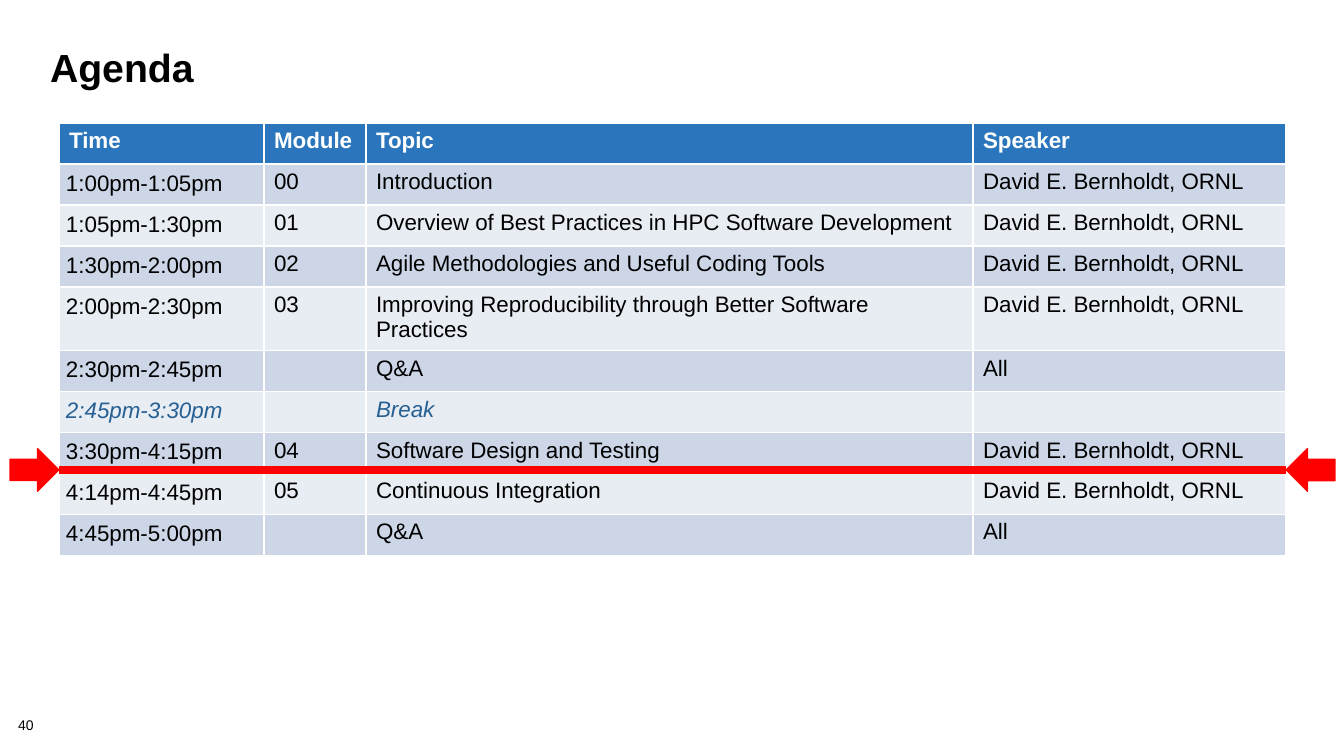
"""Build the agenda slide with a marker between two sessions."""
from lxml import etree
from pptx import Presentation
from pptx.dml.color import RGBColor
from pptx.enum.shapes import MSO_CONNECTOR, MSO_SHAPE
from pptx.enum.text import MSO_ANCHOR, PP_ALIGN
from pptx.oxml.ns import qn
from pptx.util import Emu, Pt

TITLE = "Agenda"
PAGE = "40"
HEADER = ("Time", "Module", "Topic", "Speaker")
SPEAKER = "David E. Bernholdt, ORNL"
SESSIONS = [
    ("1:00pm-1:05pm", "00", "Introduction", SPEAKER),
    ("1:05pm-1:30pm", "01", "Overview of Best Practices in HPC Software Development", SPEAKER),
    ("1:30pm-2:00pm", "02", "Agile Methodologies and Useful Coding Tools", SPEAKER),
    ("2:00pm-2:30pm", "03", "Improving Reproducibility through Better Software Practices", SPEAKER),
    ("2:30pm-2:45pm", "", "Q&A", "All"),
    ("2:45pm-3:30pm", "", "Break", ""),
    ("3:30pm-4:15pm", "04", "Software Design and Testing", SPEAKER),
    ("4:14pm-4:45pm", "05", "Continuous Integration", SPEAKER),
    ("4:45pm-5:00pm", "", "Q&A", "All"),
]

BLACK = RGBColor(0x00, 0x00, 0x00)
WHITE = RGBColor(0xFF, 0xFF, 0xFF)
RED = RGBColor(0xFF, 0x00, 0x00)
HEADER_BLUE = RGBColor(0x2A, 0x75, 0xBB)
BREAK_BLUE = RGBColor(0x26, 0x60, 0x93)
BANDS = (RGBColor(0xE8, 0xEC, 0xF3), RGBColor(0xCD, 0xD6, 0xE7))
FONT = "Arial"
TOP, LEFT = MSO_ANCHOR.TOP, PP_ALIGN.LEFT
STRAIGHT, ARROW = MSO_CONNECTOR.STRAIGHT, MSO_SHAPE.RIGHT_ARROW

SLIDE_W, SLIDE_H = 1344, 756
TABLE_X, TABLE_Y = 59, 123
COL_WIDTHS = (205, 102, 607, 313)
ROW_H = 41
TIME_INSET = 7
MARKER_Y = 470
ARROW_W, ARROW_H = 49, 43


def px(n):
    return Emu(round(n * 914400 / 100.8))


def add_run(p, text, size, color, bold=False, italic=False):
    r = p.add_run()
    r.text = text
    f = r.font
    f.name, f.size, f.bold, f.italic = FONT, Pt(size), bold, italic
    f.color.rgb = color


def add_title(slide):
    sp = slide.shapes.title
    sp.left, sp.top, sp.width, sp.height = px(40), px(45), px(1254), px(101)
    tf = sp.text_frame
    tf.vertical_anchor = TOP
    p = tf.paragraphs[0]
    p.alignment, p.line_spacing = LEFT, 0.85
    add_run(p, TITLE, 28, BLACK, bold=True)


def add_page_number(slide):
    tf = slide.shapes.add_textbox(px(18), px(718), px(56), px(16)).text_frame
    tf.margin_left = tf.margin_top = tf.margin_right = tf.margin_bottom = 0
    tf.word_wrap = True
    p = tf.paragraphs[0]
    p.line_spacing = 0.9
    add_run(p, PAGE, 10, BLACK)


def add_agenda(slide):
    rows = [HEADER] + SESSIONS
    table = slide.shapes.add_table(
        len(rows), len(HEADER), px(TABLE_X), px(TABLE_Y),
        px(sum(COL_WIDTHS)), px(ROW_H * len(rows))).table
    for col, width in zip(table.columns, COL_WIDTHS):
        col.width = px(width)
    for i, row in enumerate(rows):
        table.rows[i].height = px(ROW_H)
        is_header, is_break = i == 0, "Break" in row
        color = WHITE if is_header else BREAK_BLUE if is_break else BLACK
        for j, text in enumerate(row):
            cell = table.cell(i, j)
            cell.fill.solid()
            cell.fill.fore_color.rgb = HEADER_BLUE if is_header else BANDS[i % 2]
            if j == 0 and not is_header:
                cell.margin_left = cell.margin_right = px(TIME_INSET)
                cell.margin_top = cell.margin_bottom = px(TIME_INSET)
            p = cell.text_frame.paragraphs[0]
            if text:
                add_run(p, text, 16, color, bold=is_header, italic=is_break)
            else:
                p.font.size = Pt(16)


def add_marker(slide):
    right = TABLE_X + sum(COL_WIDTHS)
    line = slide.shapes.add_connector(STRAIGHT, px(TABLE_X), px(MARKER_Y), px(right), px(MARKER_Y))
    line.line.color.rgb = RED
    line.line.width = Pt(6)
    etree.SubElement(line._element.spPr, qn("a:effectLst"))
    for x, angle in ((TABLE_X - ARROW_W, 0), (right, 180)):
        sp = slide.shapes.add_shape(
            ARROW, px(x), px(MARKER_Y - ARROW_H / 2), px(ARROW_W), px(ARROW_H))
        sp.rotation = angle
        sp.shadow.inherit = False
        sp.fill.solid()
        sp.fill.fore_color.rgb = RED
        sp.line.color.rgb = RED
        sp.line.width = Pt(0.75)


def main():
    prs = Presentation()
    prs.slide_width, prs.slide_height = px(SLIDE_W), px(SLIDE_H)
    slide = prs.slides.add_slide(prs.slide_layouts[5])
    add_page_number(slide)
    add_title(slide)
    add_agenda(slide)
    add_marker(slide)
    prs.save("out.pptx")


if __name__ == "__main__":
    main()
